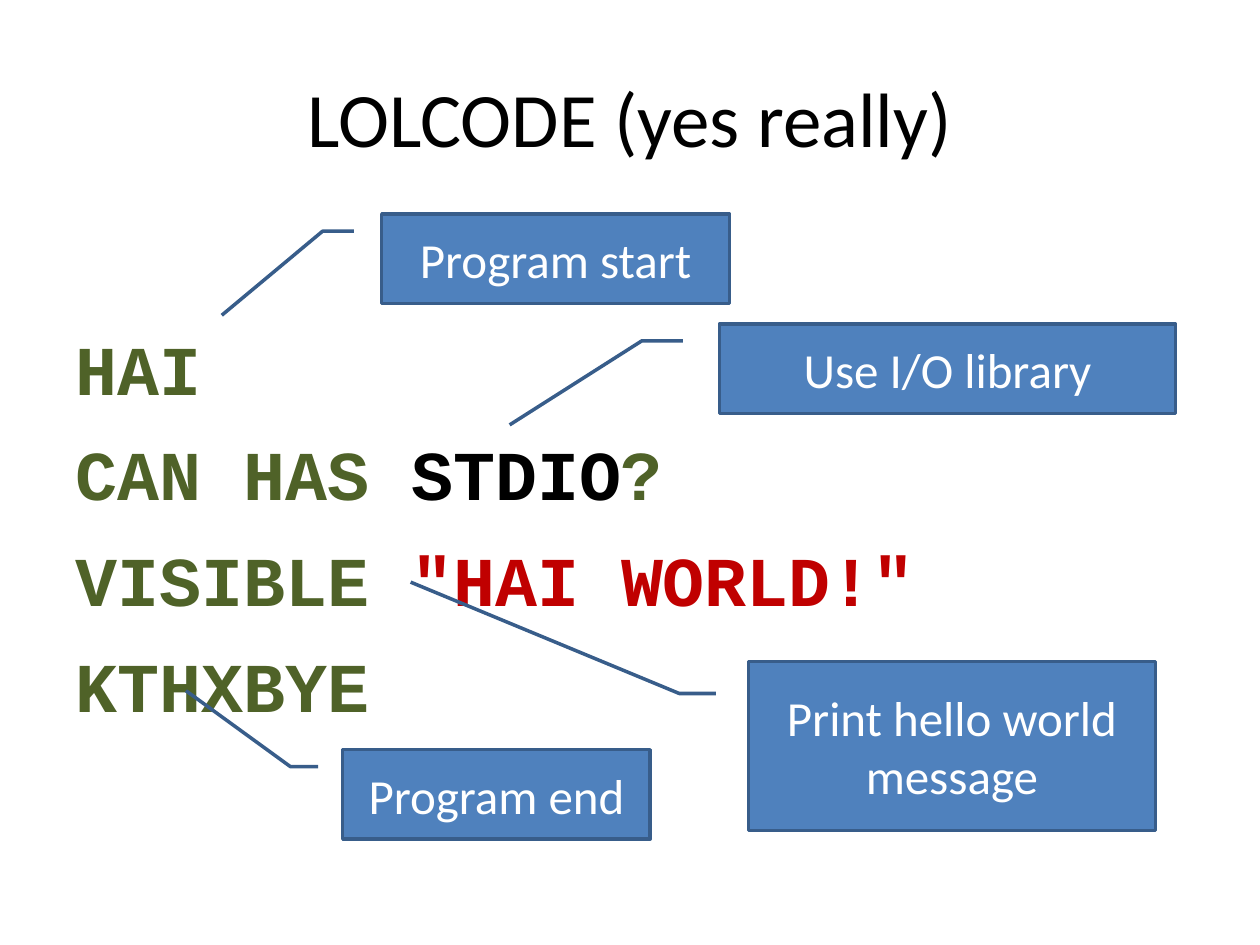
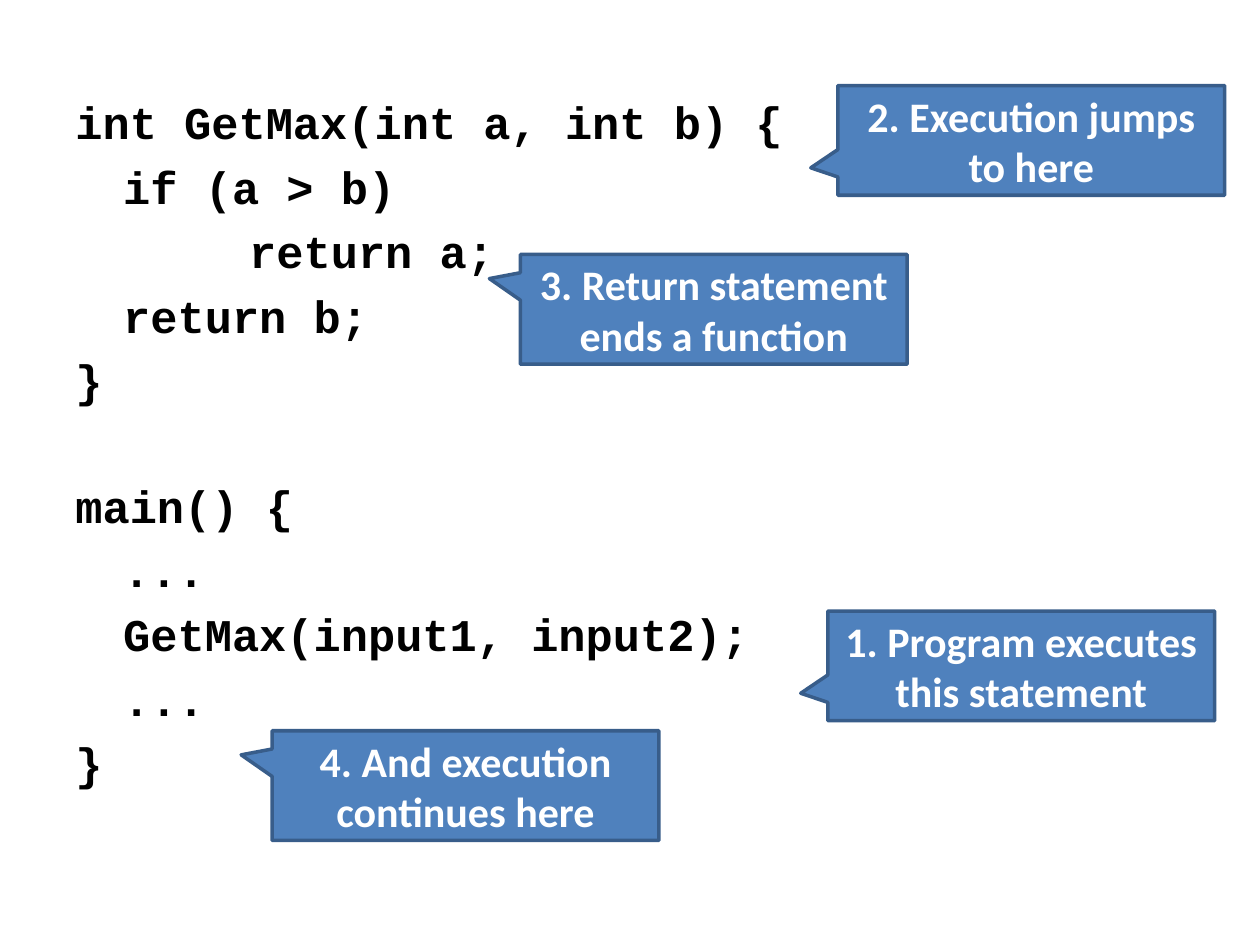
"""Build two slides of annotated code: a LOLCODE program and a function call."""
from dataclasses import dataclass

from pptx import Presentation
from pptx.dml.color import RGBColor
from pptx.enum.shapes import MSO_SHAPE
from pptx.enum.text import MSO_ANCHOR, PP_ALIGN
from pptx.util import Inches, Pt


@dataclass(frozen=True)
class Theme:
    ink: str = "000000"
    keyword: str = "4F6228"
    literal: str = "C00000"
    note_fill: str = "4F81BD"
    note_line: str = "385D8A"
    note_text: str = "FFFFFF"
    body_font: str = "Calibri"
    code_font: str = "Courier New"
    title_size: float = 44
    lolcode_size: float = 40
    function_size: float = 25.9
    label_size: float = 28
    step_size: float = 24
    note_line_width: float = 2


THEME = Theme()

TITLE = "LOLCODE (yes really)"
TITLE_BOX = (0.5, 0.3, 9, 1.25)

LOLCODE_BOX = (0.5, 1.75, 9, 4.95)
LOLCODE = [
    (0, [("HAI", THEME.keyword)]),
    (0, [("CAN HAS ", THEME.keyword), ("STDIO", THEME.ink), ("?", THEME.keyword)]),
    (0, [("VISIBLE ", THEME.keyword), ('"HAI WORLD!"', THEME.literal)]),
    (0, [("KTHXBYE", THEME.keyword)]),
]

ELBOW = (0.19, -0.08, 0.19, -0.17)
LABELS = [
    ("Program start", (3.03, 1.7, 2.76, 0.71), (1.13, -0.46)),
    ("Use I/O library", (5.71, 2.57, 3.62, 0.71), (1.13, -0.46)),
    ("Program end", (2.72, 5.95, 2.44, 0.71), (-0.66, -0.51)),
    ("Print hello world message", (5.94, 5.25, 3.23, 1.34), (-0.47, -0.83)),
]

FUNCTION_BOX = (0.5, 0.68, 9, 6.02)
INDENTS = (0, 0.38, 1.38)
GET_MAX = [
    (0, "int GetMax(int a, int b) {"),
    (1, "if (a > b)"),
    (2, "return a;"),
    (1, "return b;"),
    (0, "}"),
]
MAIN = [
    (0, "main() {"),
    (1, "..."),
    (1, "GetMax(input1, input2);"),
    (1, "..."),
    (0, "}"),
]

STEP_SIZE = (3.07, 0.87)
POINT_LOW = (-0.57, 0.25)
POINT_HIGH = (-0.58, -0.28)
STEPS = [
    ("1. Program executes this statement", (6.57, 4.85), POINT_LOW),
    ("2. Execution jumps to here", (6.65, 0.68), POINT_LOW),
    ("3. Return statement ends a function", (4.13, 2.02), POINT_HIGH),
    ("4. And execution continues here", (2.16, 5.8), POINT_HIGH),
]


def style(font, name, size, color=None, bold=False):
    font.name, font.size, font.bold = name, Pt(size), bold
    if color:
        font.color.rgb = RGBColor.from_string(color)


def write_centred(frame, wording, size, color, bold=False):
    frame.word_wrap = True
    frame.vertical_anchor = MSO_ANCHOR.MIDDLE
    line = frame.paragraphs[0]
    line.text = wording
    line.alignment = PP_ALIGN.CENTER
    style(line.font, THEME.body_font, size, color, bold)


def add_text_box(slide, box):
    frame = slide.shapes.add_textbox(*map(Inches, box)).text_frame
    frame.word_wrap = True
    return frame


def add_code(slide, box, lines, size, top_inset, gap, wide_gaps=None):
    frame = add_text_box(slide, box)
    frame.margin_top = Inches(top_inset)
    for number, (level, pieces) in enumerate(lines):
        line = frame.add_paragraph() if number else frame.paragraphs[0]
        line.space_before = Pt((wide_gaps or {}).get(number, gap) if number else 0)
        line._p.get_or_add_pPr().set("marL", str(Inches(INDENTS[level])))
        style(line.font, THEME.code_font, size, bold=True)
        for wording, color in pieces:
            run = line.add_run()
            run.text = wording
            run.font.color.rgb = RGBColor.from_string(color)


def add_callout(slide, preset, box, pointer, wording, size, bold=False):
    callout = slide.shapes.add_shape(preset, *map(Inches, box))
    callout.shadow.inherit = False
    for index, value in enumerate(pointer):
        callout.adjustments[index] = value
    callout.fill.solid()
    callout.fill.fore_color.rgb = RGBColor.from_string(THEME.note_fill)
    callout.line.color.rgb = RGBColor.from_string(THEME.note_line)
    callout.line.width = Pt(THEME.note_line_width)
    write_centred(callout.text_frame, wording, size, THEME.note_text, bold)


def build_lolcode(slide):
    write_centred(add_text_box(slide, TITLE_BOX), TITLE, THEME.title_size, THEME.ink)
    add_code(slide, LOLCODE_BOX, LOLCODE, THEME.lolcode_size, top_inset=0.83, gap=12.5)
    for wording, box, tip in LABELS:
        add_callout(slide, MSO_SHAPE.LINE_CALLOUT_2, box, ELBOW + tip,
                    wording, THEME.label_size)


def build_function_call(slide):
    lines = [(level, [(wording, THEME.ink)]) for level, wording in GET_MAX + MAIN]
    add_code(slide, FUNCTION_BOX, lines, THEME.function_size, top_inset=0.07,
             gap=5.7, wide_gaps={len(GET_MAX): 40.8})
    for wording, corner, pointer in STEPS:
        add_callout(slide, MSO_SHAPE.RECTANGULAR_CALLOUT, corner + STEP_SIZE, pointer,
                    wording, THEME.step_size, bold=True)


def main():
    deck = Presentation()
    deck.slide_width, deck.slide_height = Inches(10), Inches(7.5)
    blank = deck.slide_layouts[6]
    for build in (build_lolcode, build_function_call):
        build(deck.slides.add_slide(blank))
    deck.save("out.pptx")


if __name__ == "__main__":
    main()
